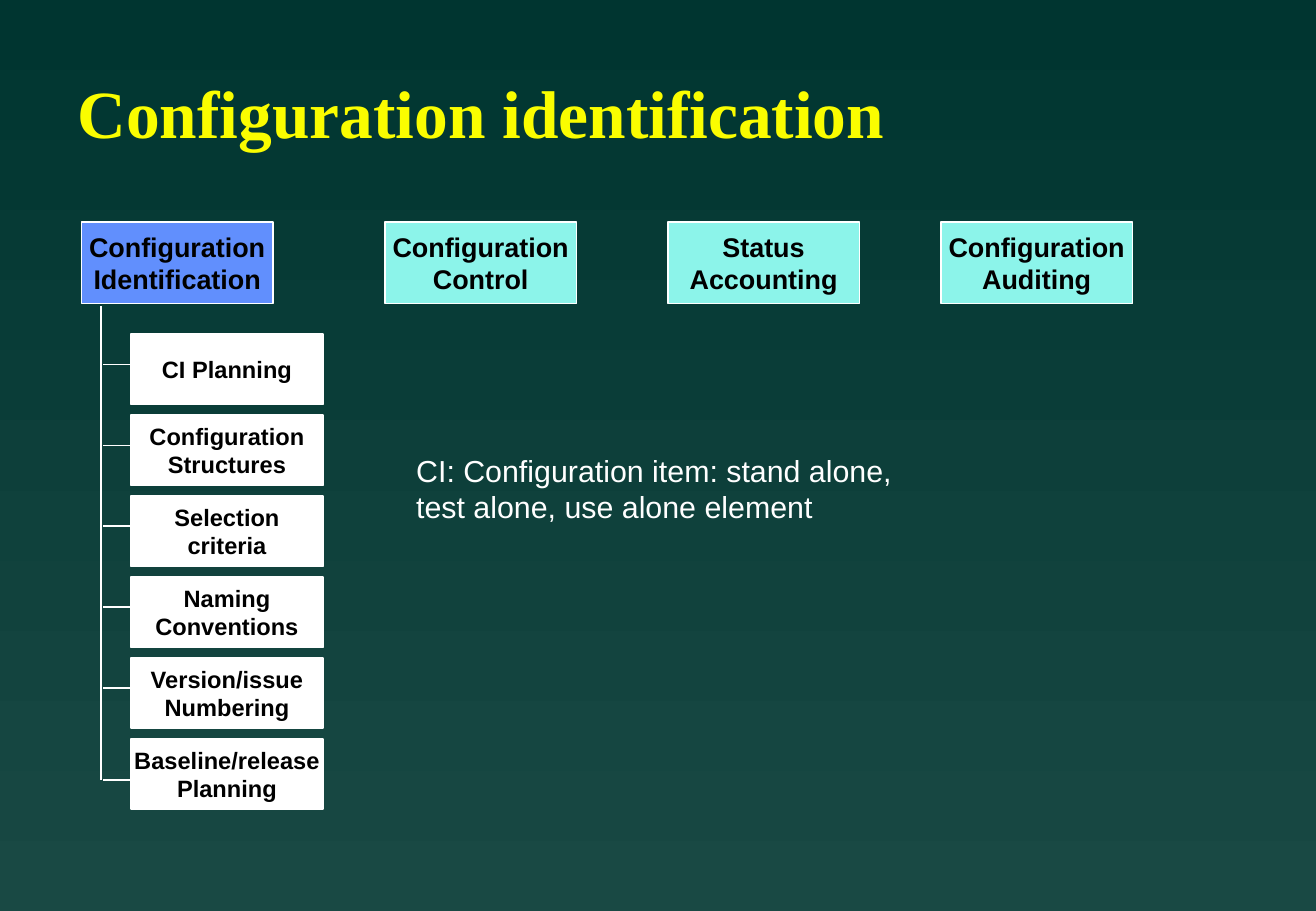
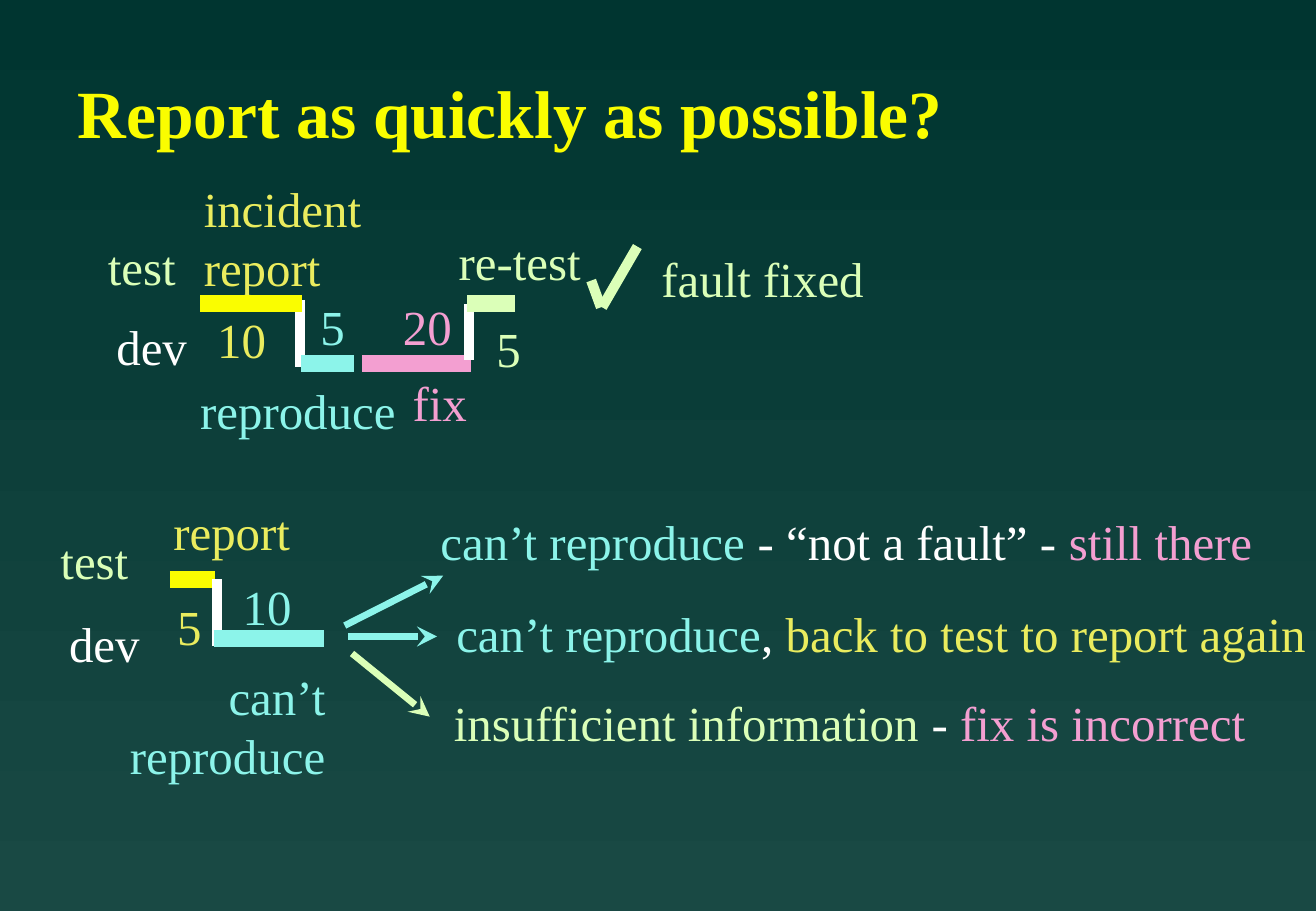
from lxml import etree
from pptx import Presentation
from pptx.dml.color import RGBColor
from pptx.enum.shapes import MSO_CONNECTOR, MSO_SHAPE
from pptx.enum.text import MSO_ANCHOR, MSO_AUTO_SIZE, PP_ALIGN
from pptx.oxml.ns import qn
from pptx.util import Inches, Pt

BACKGROUND_TOP = RGBColor(0x00, 0x35, 0x30)
BACKGROUND_BOTTOM = RGBColor(0x19, 0x49, 0x44)
WHITE = RGBColor(0xFF, 0xFF, 0xFF)
BLACK = RGBColor(0x00, 0x00, 0x00)
YELLOW = RGBColor(0xFA, 0xFD, 0x00)
SOFT_YELLOW = RGBColor(0xEA, 0xEC, 0x5E)
BLUE = RGBColor(0x61, 0x8F, 0xFD)
CYAN = RGBColor(0x8C, 0xF4, 0xEA)
GREEN = RGBColor(0xDB, 0xFF, 0xB8)
PINK = RGBColor(0xF3, 0x9F, 0xD1)

SANS = "Arial"
SERIF = "Times New Roman"
LEFT, CENTER, RIGHT = PP_ALIGN.LEFT, PP_ALIGN.CENTER, PP_ALIGN.RIGHT
MIDDLE, TOP = MSO_ANCHOR.MIDDLE, MSO_ANCHOR.TOP
STRAIGHT = MSO_CONNECTOR.STRAIGHT
RECTANGLE = MSO_SHAPE.RECTANGLE
NO_AUTOFIT = MSO_AUTO_SIZE.NONE
TITLE_ONLY = 5
BAR, STEP, ARROW = 10, 6, 4  # line widths in points


class Deck:
    """Holds the shared style and the slide being drawn."""

    def __init__(self):
        self.presentation = Presentation()
        self.presentation.slide_width = Inches(10.84)
        self.presentation.slide_height = Inches(7.5)
        self.slide = None
        fill = self.presentation.slide_master.background.fill
        fill.gradient()
        fill.gradient_angle = 270
        for stop, color in zip(fill.gradient_stops, (BACKGROUND_TOP, BACKGROUND_BOTTOM)):
            stop.color.rgb = color

    def add_slide(self, title):
        layout = self.presentation.slide_layouts[TITLE_ONLY]
        self.slide = self.presentation.slides.add_slide(layout)
        shape = self.slide.shapes.title
        shape.left, shape.top = Inches(0.54), Inches(0.58)
        shape.width, shape.height = Inches(9.21), Inches(0.67)
        self.set_text(shape, [[(title, YELLOW)]], SERIF, 40, bold=True, anchor=MIDDLE, wrap=True)

    def set_text(self, shape, lines, font, size, bold=False, align=LEFT, anchor=TOP, wrap=False):
        """Fill a shape with lines, each a list of (text, color) runs."""
        frame = shape.text_frame
        frame.word_wrap = wrap
        frame.auto_size = NO_AUTOFIT
        frame.vertical_anchor = anchor
        for index, line in enumerate(lines):
            paragraph = frame.add_paragraph() if index else frame.paragraphs[0]
            paragraph.alignment = align
            for text, color in line:
                run = paragraph.add_run()
                run.text = text
                run.font.name = font
                run.font.size = Pt(size)
                run.font.bold = bold
                run.font.color.rgb = color

    def box(self, left, top, height, lines, fill, size):
        shape = self.slide.shapes.add_shape(
            RECTANGLE, Inches(left), Inches(top), Inches(1.58), Inches(height))
        shape.shadow.inherit = False
        shape.fill.solid()
        shape.fill.fore_color.rgb = fill
        shape.line.color.rgb = WHITE
        shape.line.width = Pt(1)
        self.set_text(shape, [[(line, BLACK)] for line in lines], SANS, size,
                      bold=True, align=CENTER, anchor=MIDDLE)

    def text(self, left, top, width, lines, font=SERIF, size=29, align=LEFT):
        height = 0.11 + 0.48 * len(lines)
        shape = self.slide.shapes.add_textbox(
            Inches(left), Inches(top), Inches(width), Inches(height))
        self.set_text(shape, lines, font, size, align=align)

    def line(self, start, end, color=WHITE, width=1, arrow=False):
        connector = self.slide.shapes.add_connector(
            STRAIGHT, *(Inches(value) for value in (*start, *end)))
        connector.line.color.rgb = color
        connector.line.width = Pt(width)
        properties = connector._element.spPr
        if arrow:
            etree.SubElement(properties.find(qn("a:ln")), qn("a:tailEnd"), type="stealth")
        etree.SubElement(properties, qn("a:effectLst"))


def build_identification(deck):
    deck.add_slide("Configuration identification")

    # Four activities
    activities = [
        (0.67, BLUE, ("Configuration", "Identification")),
        (3.17, CYAN, ("Configuration", "Control")),
        (5.5, CYAN, ("Status", "Accounting")),
        (7.75, CYAN, ("Configuration", "Auditing")),
    ]
    for left, fill, lines in activities:
        deck.box(left, 1.83, 0.67, lines, fill, 16)

    # Tree of identification tasks
    tasks = [
        ("CI Planning",),
        ("Configuration", "Structures"),
        ("Selection", "criteria"),
        ("Naming", "Conventions"),
        ("Version/issue", "Numbering"),
        ("Baseline/release", "Planning"),
    ]
    trunk_end = 6.42
    deck.line((0.83, 2.52), (0.83, trunk_end))
    for index, lines in enumerate(tasks):
        top = 2.75 + index * 2 / 3
        branch = trunk_end if lines is tasks[-1] else top + 0.25
        deck.box(1.08, top, 0.58, lines, WHITE, 14)
        deck.line((0.85, branch), (1.07, branch))

    # Definition
    deck.text(3.33, 3.67, 4.19, [
        [("CI: Configuration item: stand alone,", WHITE)],
        [("test alone, use alone element", WHITE)],
    ], SANS, 18)


def build_reporting(deck):
    deck.add_slide("Report as quickly as possible?")

    # Labels: left, top, width, color, text
    labels = [
        # Fault that gets fixed
        (0.79, 1.9, 0.77, GREEN, "test"),
        (0.86, 2.56, 0.79, WHITE, "dev"),
        (1.69, 2.5, 0.61, SOFT_YELLOW, "10"),
        (2.54, 2.39, 0.41, CYAN, "5"),
        (1.55, 3.08, 1.82, CYAN, "reproduce"),
        (3.22, 2.39, 0.61, PINK, "20"),
        (3.3, 3.02, 0.66, PINK, "fix"),
        (3.99, 2.57, 0.41, GREEN, "5"),
        (3.68, 1.86, 1.21, GREEN, "re-test"),
        (5.35, 2, 1.88, GREEN, "fault fixed"),
        # Fault that cannot be reproduced
        (0.4, 4.32, 0.77, GREEN, "test"),
        (0.47, 5, 0.79, WHITE, "dev"),
        (1.33, 4.08, 1.17, SOFT_YELLOW, "report"),
        (1.36, 4.86, 0.41, SOFT_YELLOW, "5"),
        (1.9, 4.7, 0.61, CYAN, "10"),
    ]
    for left, top, width, color, text in labels:
        deck.text(left, top, width, [[(text, color)]])
    deck.text(1.58, 1.42, 1.51, [[("incident", SOFT_YELLOW)], [("report", SOFT_YELLOW)]])
    deck.text(0.96, 5.44, 1.82, [[("can’t", CYAN)], [("reproduce", CYAN)]], align=RIGHT)

    # Timelines and check mark
    segments = [
        ((2.47, 2.47), (2.47, 3.02), WHITE, STEP),
        ((2.48, 2.99), (2.92, 2.99), CYAN, BAR),
        ((2.98, 2.99), (3.88, 2.99), PINK, BAR),
        ((3.86, 2.96), (3.86, 2.5), WHITE, STEP),
        ((3.85, 2.5), (4.24, 2.5), GREEN, BAR),
        ((1.65, 2.5), (2.49, 2.5), YELLOW, BAR),
        ((4.87, 2.31), (4.95, 2.53), GREEN, STEP),
        ((4.96, 2.53), (5.25, 2.03), GREEN, STEP),
        ((1.4, 4.77), (1.77, 4.77), YELLOW, BAR),
        ((1.79, 4.77), (1.79, 5.32), WHITE, STEP),
        ((1.76, 5.26), (2.67, 5.26), CYAN, BAR),
    ]
    for start, end, color, width in segments:
        deck.line(start, end, color, width)

    # Possible outcomes
    outcomes = [
        ((2.84, 5.15), (3.65, 4.74), CYAN, (3.53, 4.16, 6.9),
         [("can’t reproduce", CYAN), (" - “not a fault” - ", WHITE), ("still there", PINK)]),
        ((2.87, 5.24), (3.6, 5.24), CYAN, (3.66, 4.92, 7.22),
         [("can’t reproduce", CYAN), (", ", WHITE),
          ("back to test to report again", SOFT_YELLOW)]),
        ((2.9, 5.38), (3.54, 5.9), GREEN, (3.64, 5.65, 6.74),
         [("insufficient information", GREEN), (" - ", WHITE), ("fix is incorrect", PINK)]),
    ]
    for start, end, color, place, runs in outcomes:
        deck.line(start, end, color, ARROW, arrow=True)
        deck.text(*place, [runs])


def main():
    deck = Deck()
    build_identification(deck)
    build_reporting(deck)
    deck.presentation.save("out.pptx")


if __name__ == "__main__":
    main()
